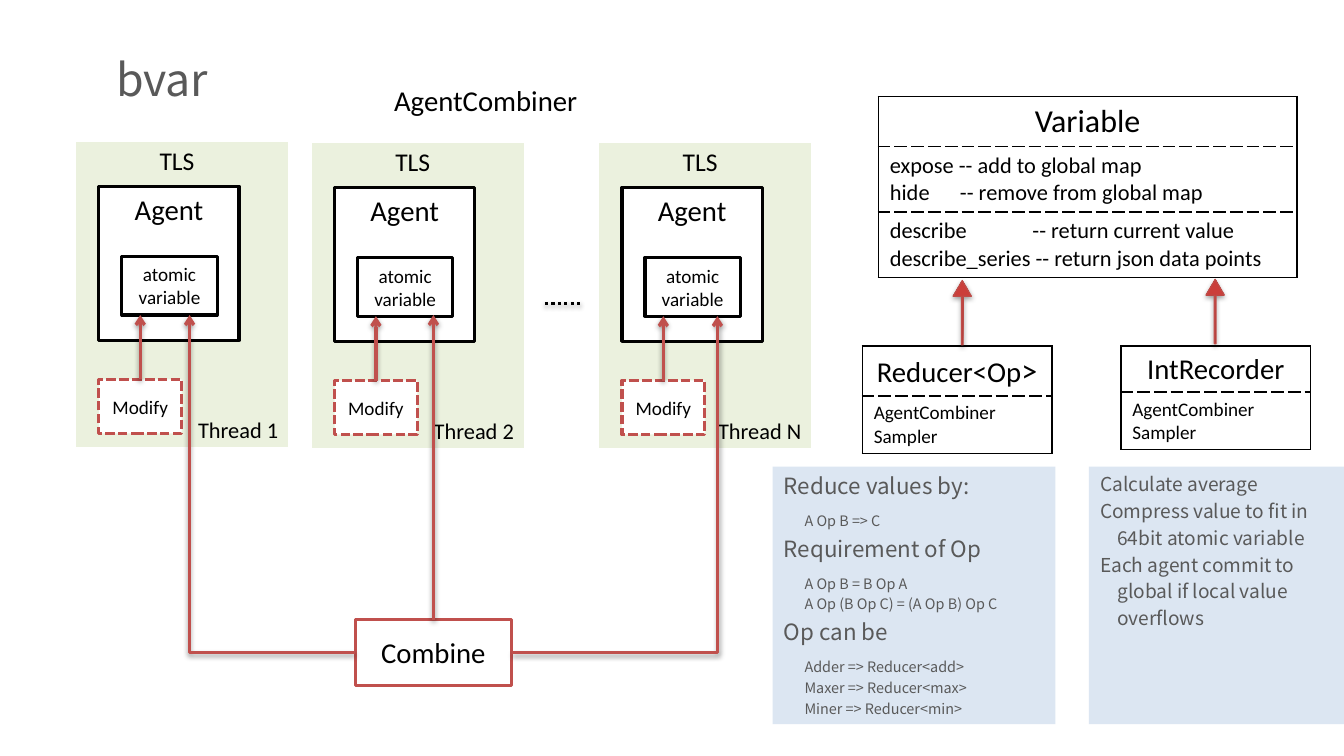
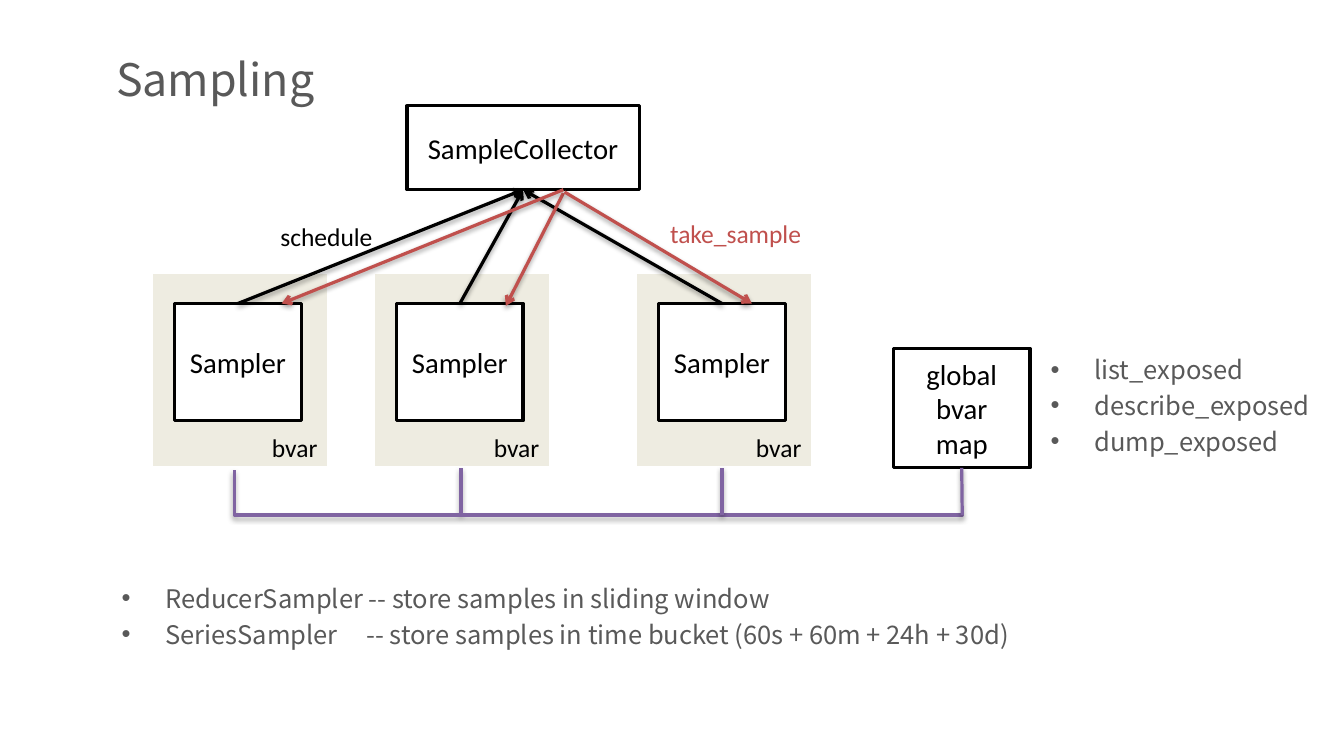
"""Build two slides that explain bvar and its sampling."""
from dataclasses import dataclass
from typing import Optional

from lxml.etree import SubElement
from pptx import Presentation
from pptx.dml.color import RGBColor
from pptx.enum.dml import MSO_LINE
from pptx.enum.shapes import MSO_CONNECTOR, MSO_SHAPE
from pptx.enum.text import MSO_ANCHOR as ANCHOR, PP_ALIGN as ALIGN
from pptx.oxml.ns import qn
from pptx.util import Inches, Pt

COLORS = {
    "black": "000000", "white": "FFFFFF", "gray": "595959", "red": "C0504D",
    "purple": "8064A2", "green": "EBF1DE", "beige": "EEECE1", "blue": "DCE6F2",
    "arrow_dark": "9C2F2D", "arrow_light": "CB3E3A", "arrow_edge": "BF4C48",
}
LATIN, NOTO = "Calibri", "Noto Sans CJK SC"


@dataclass(frozen=True)
class Run:
    text: str
    size: float


@dataclass(frozen=True)
class Para:
    runs: tuple[Run, ...]
    align: ALIGN = ALIGN.LEFT
    before: float = 0
    left: float = 0
    bullet: bool = False
    tab: float = 0


@dataclass(frozen=True)
class Box:
    x: float
    y: float
    w: float
    h: float
    fill: str = "white"
    line: Optional[str] = "black"
    dash: Optional[MSO_LINE] = None
    anchor: ANCHOR = ANCHOR.MIDDLE


@dataclass(frozen=True)
class Thread:
    x: float
    y: float
    name: str


@dataclass(frozen=True)
class ClassTable:
    x: float
    y: float
    w: float
    heights: tuple[float, ...]
    cells: tuple[list[Para], ...]


def rgb(name: str) -> RGBColor:
    return RGBColor.from_string(COLORS[name])


def lines(*texts: str, size: float, align: ALIGN = ALIGN.LEFT, before: float = 0,
          left: float = 0, bullet: bool = False, tab: float = 0) -> list[Para]:
    return [Para((Run(text, size),), align, before if i else 0, left, bullet,
                 tab if "\t" in text else 0) for i, text in enumerate(texts)]


def centered(*texts: str, size: float) -> list[Para]:
    return lines(*texts, size=size, align=ALIGN.CENTER)


def write(tf, paras: list[Para], color: str = "black", font: str = LATIN) -> None:
    for i, para in enumerate(paras):
        p = tf.add_paragraph() if i else tf.paragraphs[0]
        p.alignment = para.align
        if para.before:
            p.space_before = Pt(para.before)
        pPr = p._p.get_or_add_pPr()
        if para.left:
            pPr.set("marL", str(Inches(para.left)))
        if para.bullet:
            pPr.set("indent", str(-Inches(para.left)))
            SubElement(pPr, qn("a:buFont"), typeface="Arial")
            SubElement(pPr, qn("a:buChar"), char="•")
        if para.tab:
            tabs = SubElement(pPr, qn("a:tabLst"))
            SubElement(tabs, qn("a:tab"), pos=str(Inches(para.tab)), algn="l")
        for run in para.runs:
            r = p.add_run()
            r.text = run.text
            r.font.name, r.font.size = font, Pt(run.size)
            r.font.color.rgb = rgb(color)


def add_shadow(shape) -> None:
    effects = SubElement(shape._element.spPr, qn("a:effectLst"))
    shadow = SubElement(effects, qn("a:outerShdw"), blurRad="40000", dist="20000",
                        dir="5400000", rotWithShape="0")
    clr = SubElement(shadow, qn("a:srgbClr"), val=COLORS["black"])
    SubElement(clr, qn("a:alpha"), val="38000")


def add_box(s, box: Box, paras: list[Para], color: str = "black", font: str = LATIN):
    sp = s.shapes.add_shape(MSO_SHAPE.RECTANGLE, Inches(box.x), Inches(box.y),
                            Inches(box.w), Inches(box.h))
    sp.shadow.inherit = False
    sp.fill.solid()
    sp.fill.fore_color.rgb = rgb(box.fill)
    if box.line:
        sp.line.color.rgb = rgb(box.line)
        sp.line.width = Pt(2)
        if box.dash:
            sp.line.dash_style = box.dash
    else:
        sp.line.fill.background()
    tf = sp.text_frame
    tf.word_wrap = True
    tf.vertical_anchor = box.anchor
    write(tf, paras, color, font)
    return sp


def add_label(s, x: float, y: float, w: float, h: float, paras: list[Para],
              color: str = "black", font: str = LATIN) -> None:
    tf = s.shapes.add_textbox(Inches(x), Inches(y), Inches(w), Inches(h)).text_frame
    tf.word_wrap = True
    write(tf, paras, color, font)


def add_line(s, start: tuple[float, float], end: tuple[float, float], color: str,
             arrow: bool = True, bent: bool = False, dash: Optional[MSO_LINE] = None,
             begin: Optional[tuple] = None, finish: Optional[tuple] = None) -> None:
    kind = MSO_CONNECTOR.ELBOW if bent else MSO_CONNECTOR.STRAIGHT
    c = s.shapes.add_connector(kind, Inches(start[0]), Inches(start[1]),
                               Inches(end[0]), Inches(end[1]))
    if begin:
        c.begin_connect(*begin)
    if finish:
        c.end_connect(*finish)
    if bent:
        c._element.spPr.find(qn("a:prstGeom")).set("prst", "bentConnector2")
    c.line.color.rgb = rgb(color)
    c.line.width = Pt(2)
    if dash:
        c.line.dash_style = dash
    if arrow:
        SubElement(c.line._get_or_add_ln(), qn("a:tailEnd"), type="arrow")
    add_shadow(c)


def add_block_arrow(s, x: float, y: float) -> None:
    sp = s.shapes.add_shape(MSO_SHAPE.UP_ARROW, Inches(x), Inches(y),
                            Inches(0.16), Inches(0.56))
    sp.adjustments[0], sp.adjustments[1] = 0.09, 0.86
    sp.fill.gradient()
    sp.fill.gradient_angle = 90
    dark, light = sp.fill.gradient_stops
    dark.color.rgb, light.color.rgb = rgb("arrow_dark"), rgb("arrow_light")
    light.position = 0.8
    sp.line.color.rgb = rgb("arrow_edge")
    sp.line.width = Pt(0.75)
    add_shadow(sp)


def add_class_table(s, spec: ClassTable) -> None:
    count = len(spec.cells)
    table = s.shapes.add_table(count, 1, Inches(spec.x), Inches(spec.y), Inches(spec.w),
                               Inches(sum(spec.heights))).table
    table.first_row = table.horz_banding = False
    for i, (height, paras) in enumerate(zip(spec.heights, spec.cells)):
        table.rows[i].height = Inches(height)
        cell = table.cell(i, 0)
        write(cell.text_frame, paras)
        tcPr = cell._tc.get_or_add_tcPr()
        dashed = {"T": i > 0, "B": i < count - 1}
        for side in "LRTB":
            ln = SubElement(tcPr, qn(f"a:ln{side}"), w=str(Pt(1)))
            fill = SubElement(ln, qn("a:solidFill"))
            SubElement(fill, qn("a:srgbClr"), val=COLORS["black"])
            SubElement(ln, qn("a:prstDash"), val="dash" if dashed.get(side) else "solid")
        cell.fill.background()


def add_titled_slide(prs, title: str):
    s = prs.slides.add_slide(prs.slide_layouts[5])
    sp = s.shapes.title
    sp.left, sp.top, sp.width, sp.height = map(Inches, (0.91, 0.4, 10.14, 0.57))
    sp.text_frame.vertical_anchor = ANCHOR.MIDDLE
    write(sp.text_frame, lines(title, size=28), "gray", NOTO)
    return s


def add_thread(s, t: Thread) -> None:
    x, y = t.x, t.y
    add_box(s, Box(x, y, 1.87, 2.68, "green", "white", anchor=ANCHOR.BOTTOM),
            lines(t.name, size=14, align=ALIGN.RIGHT))
    add_box(s, Box(x + 0.21, y + 0.4, 1.22, 1.34, anchor=ANCHOR.TOP),
            centered("Agent", size=18))
    add_box(s, Box(x + 0.41, y + 1.01, 0.83, 0.51),
            centered("atomic", "variable", size=12))
    modify = add_box(s, Box(x + 0.21, y + 2.08, 0.72, 0.47, line="red",
                            dash=MSO_LINE.SQUARE_DOT), centered("Modify", size=12))
    add_line(s, (x + 0.57, y + 2.08), (x + 0.57, y + 1.52), "red", begin=(modify, 0))
    add_label(s, x + 0.64, y - 0.01, 0.86, 0.37, lines("TLS", size=16))


def build_bvar(prs) -> None:
    s = add_titled_slide(prs, "bvar")
    rules = (
        ("Reduce values by:", ("A Op B => C",)),
        ("Requirement of Op", ("A Op B = B Op A", "A Op (B Op C) = (A Op B) Op C")),
        ("Op can be", ("Adder => Reducer<add>", "Maxer => Reducer<max>",
                       "Miner => Reducer<min>")),
    )
    reducer_notes = []
    for i, (heading, details) in enumerate(rules):
        reducer_notes.append(Para((Run(heading, 14),), before=3.6 if i else 0))
        reducer_notes += [Para((Run(detail, 9),), before=2.2 if j else 8, left=0.18)
                          for j, detail in enumerate(details)]
    recorder_notes = [
        Para((Run(text, 12),), before=2.4 if i else 0, left=left)
        for i, (text, left) in enumerate((
            ("Calculate average", 0), ("Compress value to fit in", 0),
            ("64bit atomic variable", 0.15), ("Each agent commit to", 0),
            ("global if local value", 0.15), ("overflows", 0.15)))]
    for x, w, notes in ((6.72, 2.46, reducer_notes), (9.47, 2.22, recorder_notes)):
        add_box(s, Box(x, 4.06, w, 2.24, "blue", None, anchor=ANCHOR.TOP),
                notes, "gray", NOTO)

    for thread in (Thread(0.65, 1.22, "Thread 1"), Thread(2.7, 1.23, "Thread 2"),
                   Thread(5.2, 1.23, "Thread N")):
        add_thread(s, thread)
    add_line(s, (4.74, 2.64), (5.06, 2.64), "black", arrow=False, dash=MSO_LINE.ROUND_DOT)
    combine = add_box(s, Box(3.09, 5.39, 1.36, 0.57, line="red"),
                      centered("Combine", size=18))
    add_line(s, (3.09, 5.67), (1.65, 2.74), "red", bent=True, begin=(combine, 1))
    add_line(s, (3.77, 5.39), (3.77, 2.74), "red", begin=(combine, 0))
    add_line(s, (4.45, 5.67), (6.24, 2.75), "red", bent=True, begin=(combine, 3))
    add_label(s, 3.33, 0.67, 2.04, 0.4, lines("AgentCombiner", size=18))

    members = lines("AgentCombiner", "Sampler", size=12)
    reducer = [Para((Run("Reducer<Op", 18), Run(">", 20)), ALIGN.CENTER)]
    for spec in (
        ClassTable(7.64, 0.84, 3.64, (0.43, 0.57, 0.57), (
            centered("Variable", size=20),
            lines("expose -- add to global map", "hide\t-- remove from global map",
                  size=14, tab=0.61),
            lines("describe\t-- return current value",
                  "describe_series -- return json data points", size=14, tab=1.24))),
        ClassTable(7.5, 3.01, 1.65, (0.43, 0.5), (reducer, members)),
        ClassTable(9.75, 3.01, 1.65, (0.4, 0.5),
                   (centered("IntRecorder", size=18), members)),
    ):
        add_class_table(s, spec)
    add_block_arrow(s, 8.29, 2.44)
    add_block_arrow(s, 10.49, 2.43)


def build_sampling(prs) -> None:
    s = add_titled_slide(prs, "Sampling")
    add_label(s, 0.96, 5.02, 10.22, 1.26, lines(
        "ReducerSampler -- store samples in sliding window",
        "SeriesSampler\t-- store samples in time bucket (60s + 60m + 24h + 30d)",
        size=16, before=3.2, left=0.38, bullet=True, tab=2.13), "gray", NOTO)
    samplers = []
    for x in (1.32, 3.25, 5.53):
        add_box(s, Box(x, 2.37, 1.54, 1.7, "beige", "white", anchor=ANCHOR.BOTTOM),
                lines("bvar", size=16, align=ALIGN.RIGHT))
        samplers.append(add_box(s, Box(x + 0.2, 2.64, 1.1, 1.02),
                                centered("Sampler", size=18)))
    collector = add_box(s, Box(3.54, 0.92, 2.02, 0.73),
                        centered("SampleCollector", size=18))
    for sampler in samplers:
        add_line(s, (0, 0), (1, 1), "black", begin=(sampler, 0), finish=(collector, 2))
    add_label(s, 2.34, 1.87, 1.02, 0.37, lines("schedule", size=16))
    for start, end in (((4.9, 1.65), (2.45, 2.64)), ((4.9, 1.68), (4.4, 2.66)),
                       ((4.91, 1.67), (6.54, 2.64))):
        add_line(s, start, end, "red")
    add_label(s, 5.73, 1.85, 1.62, 0.37, lines("take_sample", size=16), "red")

    builder = s.shapes.build_freeform(Inches(2.04), Inches(4.09))
    builder.add_line_segments([(Inches(x), Inches(y)) for x, y in (
        (2.04, 4.48), (8.37, 4.48), (4.01, 4.48), (4.01, 4.07))], close=False)
    bus = builder.convert_to_shape()
    bus.fill.background()
    bus.line.color.rgb = rgb("purple")
    bus.line.width = Pt(2)
    add_shadow(bus)
    add_line(s, (6.28, 4.48), (6.28, 4.07), "purple", arrow=False)
    global_map = add_box(s, Box(7.77, 3.03, 1.19, 1.04),
                         centered("global", "bvar", "map", size=18))
    add_line(s, (8.37, 4.48), (8.37, 4.07), "purple", arrow=False, finish=(global_map, 2))
    add_label(s, 9.04, 3.03, 2.65, 1.26, lines(
        "list_exposed", "describe_exposed", "dump_exposed",
        size=16, before=3.2, left=0.38, bullet=True), "gray", NOTO)


def main() -> None:
    prs = Presentation()
    prs.slide_width = Inches(11.69)
    prs.slide_height = prs.slide_width * 9 // 16
    build_bvar(prs)
    build_sampling(prs)
    prs.save("out.pptx")


if __name__ == "__main__":
    main()
